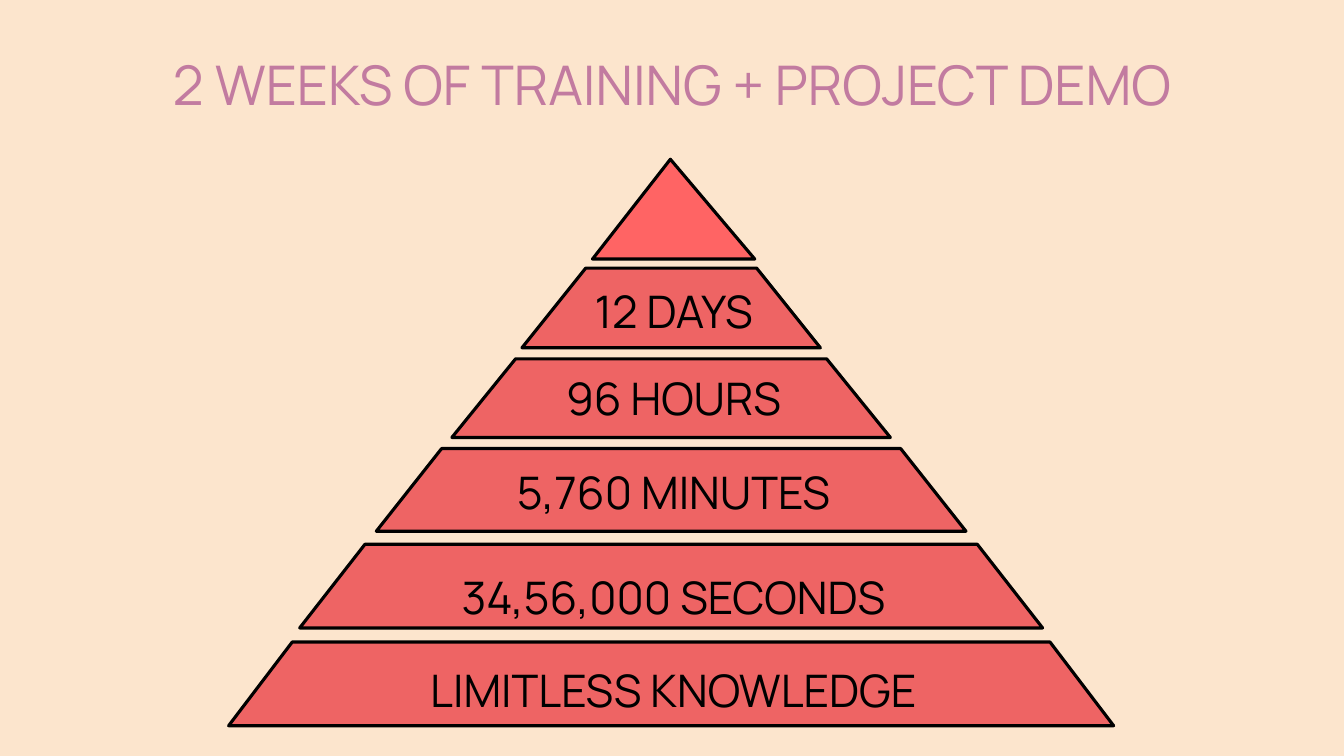
"""Build a slide with a training pyramid that widens from days to knowledge."""
from collections import namedtuple
from dataclasses import dataclass

from lxml import etree
from pptx import Presentation
from pptx import util as u
from pptx.dml.color import RGBColor
from pptx.enum import shapes, text


@dataclass(frozen=True)
class Theme:
    font: str = "Manrope"
    background: str = "FCE5CD"
    heading: str = "C27BA0"
    ink: str = "000000"
    tier: str = "EE6464"
    peak: str = "FF6464"
    heading_size: float = 39
    label_size: float = 32
    outline: float = 2.25


Tier = namedtuple("Tier", "wording top width height slant label_top label_width loose")

COLUMNS, ROWS = 160, 90
PYRAMID_AXIS, LABEL_AXIS = 79.9, 80.2
TIERS = [
    Tier("12 DAYS", 31.92, 35.52, 9.48, 0.8, 33.24, 29.04, False),
    Tier("96 HOURS", 42.72, 52.2, 9.36, 0.81, 43.56, 35.52, False),
    Tier("5,760 MINUTES", 53.4, 70.2, 9.84, 0.79, 54.72, 52.2, False),
    Tier("34,56,000 SECONDS", 64.8, 88.44, 9.96, 0.78, 62.4, 117.48, True),
    Tier("LIMITLESS KNOWLEDGE", 76.44, 105.36, 9.96, 0.76, 73.44, 117.48, True),
]


def write(frame, wording, *, theme, size, color, spacing=None,
          anchor=text.MSO_ANCHOR.TOP, insets=(0, 0, 0, 0),
          fit=text.MSO_AUTO_SIZE.NONE):
    frame.word_wrap = True
    frame.auto_size = fit
    frame.vertical_anchor = anchor
    (frame.margin_left, frame.margin_top,
     frame.margin_right, frame.margin_bottom) = map(u.Inches, insets)
    paragraph = frame.paragraphs[0]
    paragraph.alignment = text.PP_ALIGN.CENTER
    paragraph.line_spacing = spacing
    run = paragraph.add_run()
    run.text = wording
    run.font.name = theme.font
    run.font.size = u.Pt(size)
    run.font.bold = False
    run.font.color.rgb = RGBColor.from_string(color)


class PyramidSlide:
    def __init__(self, deck, theme):
        self.theme = theme
        self.column = deck.slide_width / COLUMNS
        self.row = deck.slide_height / ROWS
        self.slide = deck.slides.add_slide(deck.slide_layouts[0])
        fill = self.slide.background.fill
        fill.solid()
        fill.fore_color.rgb = RGBColor.from_string(theme.background)
        subtitle = self.slide.placeholders[1].element
        subtitle.getparent().remove(subtitle)

    def centred(self, axis, top, width, height):
        return (round((axis - width / 2) * self.column), round(top * self.row),
                round(width * self.column), round(height * self.row))

    def heading(self, wording):
        title = self.slide.shapes.title
        title.left, title.top, title.width, title.height = self.centred(
            COLUMNS / 2, 2.88, COLUMNS, 20.16)
        write(title.text_frame, wording, theme=self.theme,
              size=self.theme.heading_size, color=self.theme.heading,
              spacing=1.1, anchor=text.MSO_ANCHOR.MIDDLE, insets=(0, 0, 0, 0.56))

    def block(self, preset, color, adjustment, *box):
        block = self.slide.shapes.add_shape(preset, *self.centred(*box))
        block.shadow.inherit = False
        block.adjustments[0] = adjustment
        block.fill.solid()
        block.fill.fore_color.rgb = RGBColor.from_string(color)
        block.line.color.rgb = RGBColor.from_string(self.theme.ink)
        block.line.width = u.Pt(self.theme.outline)

    def label(self, tier):
        if tier.loose:
            height = 16.56
            style = dict(spacing=1.1, anchor=text.MSO_ANCHOR.MIDDLE)
        else:
            height = 7.68
            style = dict(insets=(0.1, 0.05, 0.1, 0.05),
                         fit=text.MSO_AUTO_SIZE.SHAPE_TO_FIT_TEXT)
        label = self.slide.shapes.add_textbox(
            *self.centred(LABEL_AXIS, tier.label_top, tier.label_width, height))
        write(label.text_frame, tier.wording, theme=self.theme,
              size=self.theme.label_size, color=self.theme.ink, **style)


def main():
    deck = Presentation()
    deck.slide_width, deck.slide_height = u.Inches(13.33), u.Inches(7.5)
    theme = Theme()
    pyramid = PyramidSlide(deck, theme)
    pyramid.heading("2 WEEKS OF TRAINING + PROJECT DEMO")
    pyramid.block(shapes.MSO_SHAPE.ISOSCELES_TRIANGLE, theme.peak, 0.48,
                  80.2, 18.96, 19.32, 11.88)
    for tier in TIERS:
        pyramid.block(shapes.MSO_SHAPE.TRAPEZOID, theme.tier, tier.slant,
                      PYRAMID_AXIS, tier.top, tier.width, tier.height)
        pyramid.label(tier)
    deck.save("out.pptx")


if __name__ == "__main__":
    main()
